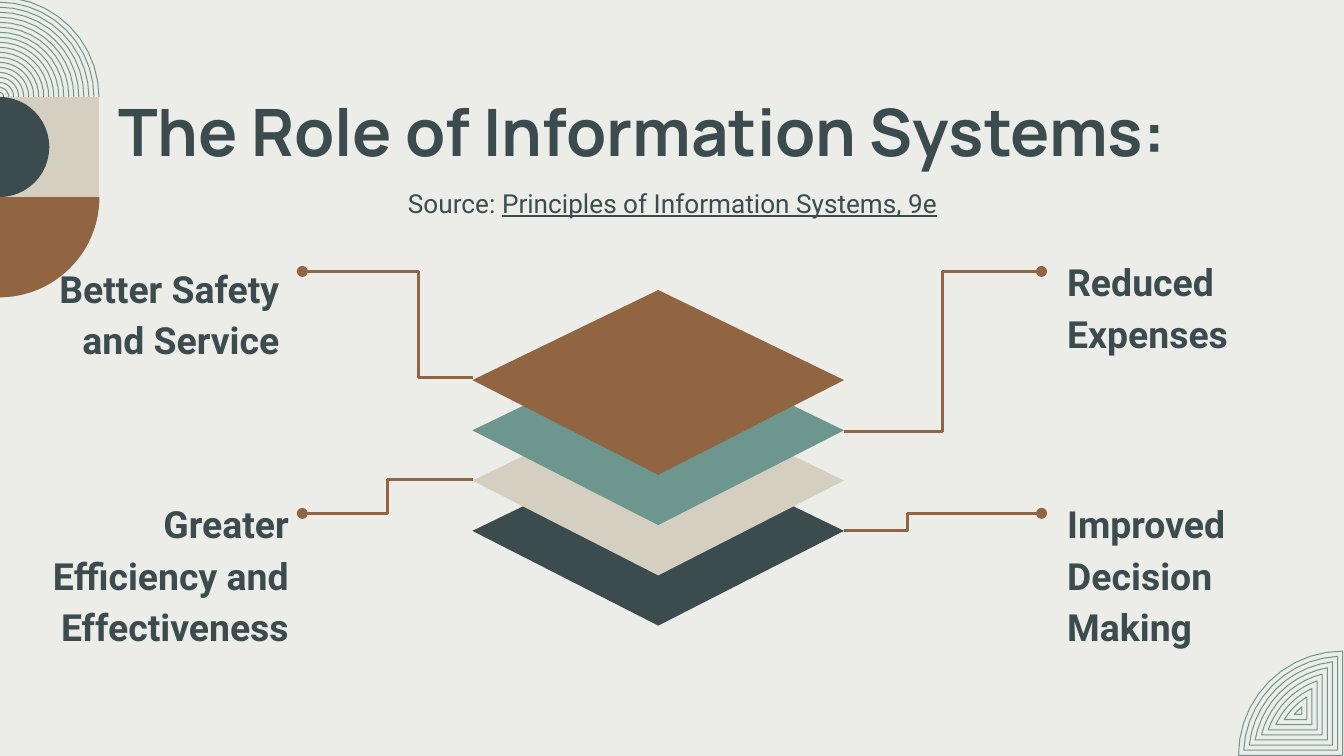
"""Build a slide on the role of information systems around a stack of four layers."""
from math import acos, asin, cos, pi, sin

from lxml.etree import SubElement
from pptx import Presentation
from pptx.dml.color import RGBColor
from pptx.enum.shapes import MSO_CONNECTOR
from pptx.enum.text import MSO_ANCHOR, MSO_AUTO_SIZE, PP_ALIGN
from pptx.oxml.ns import qn
from pptx.util import Inches, Pt

COLOURS = {
    "paper": "ECEDE9",
    "ink": "3C4B4E",
    "brown": "916442",
    "teal": "6C968E",
    "sand": "D4CFC1",
}
COLUMNS, ROWS = 100, 56.25
CELL = Inches(0.1)


def colour(name):
    return RGBColor.from_string(COLOURS[name])


def add_span(para, text, font="Roboto", size=20, bold=False, underline=None):
    span = para.add_run()
    span.text = text
    span.font.name = font
    span.font.size = Pt(size)
    span.font.bold = bold
    span.font.underline = underline
    span.font.color.rgb = colour("ink")


def arc(centre, radius, start, end, steps=10):
    """Points on a circle, with angles in radians measured clockwise from the right."""
    angles = [start + (end - start) * step / steps for step in range(steps + 1)]
    return [(centre[0] + radius * cos(a), centre[1] + radius * sin(a)) for a in angles]


class SlideBuilder:
    def __init__(self, page):
        self.page = page
        self.line_width = Pt(1.5)
        self.hairline = Pt(0.55)
        page.background.fill.solid()
        page.background.fill.fore_color.rgb = colour("paper")

    def place(self, box, left, top, width, height):
        box.left, box.top = round(left * CELL), round(top * CELL)
        box.width, box.height = round(width * CELL), round(height * CELL)

    def text(self, box, area, spans, align=PP_ALIGN.LEFT, spacing=1.15):
        self.place(box, *area)
        frame = box.text_frame
        frame.word_wrap = True
        frame.auto_size = MSO_AUTO_SIZE.NONE
        frame.vertical_anchor = MSO_ANCHOR.TOP
        frame.margin_left = frame.margin_right = CELL
        frame.margin_top = frame.margin_bottom = CELL
        para = frame.paragraphs[0]
        para.alignment = align
        para.line_spacing = spacing
        para.space_before = Pt(0)
        properties = para._p.get_or_add_pPr()
        properties.set("marL", "0")
        properties.set("indent", "0")
        SubElement(properties, qn("a:buNone"))
        for words, style in spans:
            add_span(para, words, **style)

    def caption(self, area, spans, **layout):
        box = self.page.shapes.add_textbox(0, 0, CELL, CELL)
        self.text(box, area, spans, **layout)

    def outline(self, *contours, fill=None, line=None, closed=True):
        """Draw one freeform from one or more lists of points."""
        scaled = [[(round(x * CELL), round(y * CELL)) for x, y in points] for points in contours]
        builder = self.page.shapes.build_freeform(*scaled[0][0])
        for number, points in enumerate(scaled):
            if number:
                builder.move_to(*points[0])
            builder.add_line_segments(points[1:], close=closed)
        shape = builder.convert_to_shape()
        shape.shadow.inherit = False
        if fill:
            shape.fill.solid()
            shape.fill.fore_color.rgb = colour(fill)
        else:
            shape.fill.background()
        if line:
            shape.line.color.rgb = colour(line)
            shape.line.width = self.hairline
        else:
            shape.line.fill.background()

    def leader(self, start, end, bend):
        ends = [round(value * CELL) for value in (*start, *end)]
        link = self.page.shapes.add_connector(MSO_CONNECTOR.ELBOW, *ends)
        link.line.color.rgb = colour("brown")
        link.line.width = self.line_width
        SubElement(link.line._get_or_add_ln(), qn("a:tailEnd"), type="oval")
        properties = link._element.spPr
        SubElement(properties, qn("a:effectLst"))
        guides = properties.find(qn("a:prstGeom")).get_or_add_avLst()
        SubElement(guides, qn("a:gd"), name="adj1", fmla=f"val {round(bend * 100000)}")

    def corner_fan(self, corner, radius, count, step):
        """Nest quarter discs, each inset evenly from the one around it."""
        contours = []
        for inset in (step * number for number in range(count)):
            reach = radius - inset
            edge = arc(corner, reach, pi + asin(inset / reach), pi + acos(inset / reach))
            contours.append([(corner[0] - inset, corner[1] - inset), *edge])
        self.outline(*contours, line="teal")

    def side_ornament(self, left, top, size, rings):
        centre = (left, top + size)
        radii = [size * (1 - number / rings) - 0.04 for number in range(rings)]
        arcs = [arc(centre, radius, -pi / 2, 0) for radius in radii]
        self.outline(*arcs, line="teal", closed=False)
        right, bottom = left + size, top + 2 * size
        self.outline([centre, (right, centre[1]), (right, bottom), (left, bottom)], fill="sand")
        middle = (left, top + 1.5 * size)
        self.outline(arc(middle, size / 2, -pi / 2, pi / 2, steps=24), fill="ink")
        quarter = arc((left, bottom), size, 0, pi / 2, steps=24)
        self.outline([(left, bottom), *quarter], fill="brown")

    def layer(self, top, fill):
        left, middle, right = 35.15, 48.98, 62.8
        self.outline(
            [(middle, top), (left, top + 6.7), (middle, top + 13.75), (right, top + 6.7)], fill=fill
        )


def main():
    deck = Presentation()
    deck.slide_width, deck.slide_height = round(COLUMNS * CELL), round(ROWS * CELL)
    page = deck.slides.add_slide(deck.slide_layouts.get_by_name("Comparison"))
    slide = SlideBuilder(page)

    slide.corner_fan((99.9, 56.2), 7.75, 9, 0.38)
    slide.side_ornament(-0.06, -0.25, 7.46, 20)

    title, *bodies = page.placeholders
    heading = ("The Role of Information Systems:", {"font": "Manrope", "size": 35, "bold": True})
    slide.text(title, (7.8, 5.8, 84.4, 6.8), [heading], spacing=1)

    for number, fill in enumerate(("ink", "sand", "teal", "brown")):
        slide.layer(32.8 - 3.74 * number, fill)

    labels = [
        ("Better Safety and Service", (2.5, 18.3, 19.3, 7.3), PP_ALIGN.RIGHT),
        ("Reduced Expenses", (78.4, 17.8, 21.6, 7.3), PP_ALIGN.LEFT),
        ("Greater Efficiency and Effectiveness", (0.9, 35.8, 21.6, 7.3), PP_ALIGN.RIGHT),
        ("Improved Decision Making", (78.4, 35.8, 21.6, 7.3), PP_ALIGN.LEFT),
    ]
    for body, (words, area, align) in zip(bodies, labels):
        slide.text(body, area, [(words, {"bold": True})], align=align)

    slide.leader((35.2, 28.1), (22.5, 20.2), 0.32)
    slide.leader((62.8, 32.1), (77.5, 20.2), 0.5)
    slide.leader((35.2, 35.7), (22.5, 38.2), 0.5)
    slide.leader((62.8, 39.5), (77.5, 38.2), 0.32)

    source = [
        ("Source: ", {"size": 14}),
        ("Principles of Information Systems, 9e", {"size": 14, "underline": True}),
    ]
    slide.caption((7.9, 12.6, 84.3, 4.4), source, align=PP_ALIGN.CENTER)
    deck.save("out.pptx")


if __name__ == "__main__":
    main()
